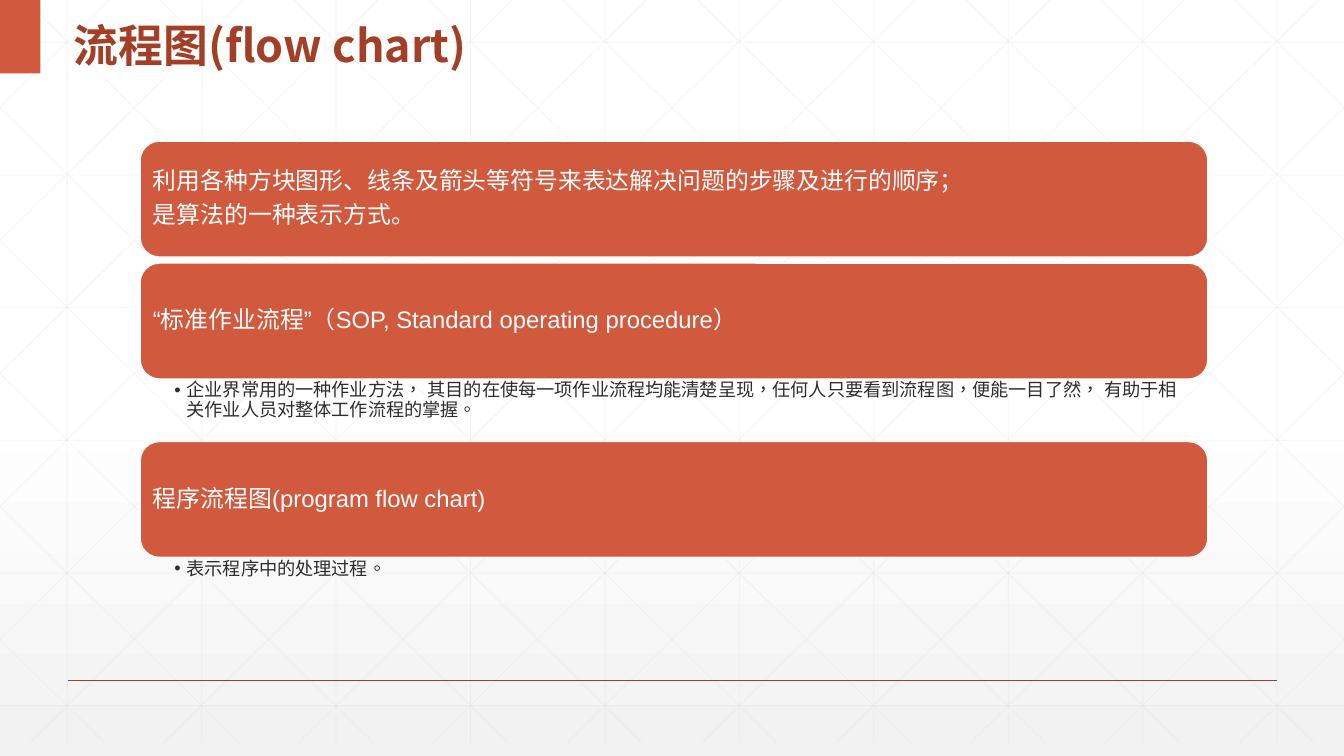
from lxml import etree
from pptx import Presentation
from pptx.dml.color import RGBColor
from pptx.enum import lang, shapes, text
from pptx.oxml import ns
from pptx.util import Inches, Pt

COLORS = {
    "accent": "D15A3E",
    "dark": "A43F27",
    "white": "FFFFFF",
    "pale": "F2F2F2",
    "mesh": "D9D9D9",
    "body": "2D2E2D",
}
WIDTH, HEIGHT = 13.33, 7.5
MESH_BOTTOM = 7.37
CELL = 4 / 3
SLOPE = 7.37 / 7.455
SIMPLIFIED = lang.MSO_LANGUAGE_ID.SIMPLIFIED_CHINESE
TRADITIONAL = lang.MSO_LANGUAGE_ID.TRADITIONAL_CHINESE


def add_line(start, end, color, width, opacity=100):
    line = slide.shapes.add_connector(
        shapes.MSO_CONNECTOR.STRAIGHT, *[Inches(value) for value in (*start, *end)]
    )
    line.line.color.rgb = RGBColor.from_string(COLORS[color])
    line.line.width = Pt(width)
    properties = line.element.spPr
    if opacity < 100:
        tint = properties.find(".//" + ns.qn("a:srgbClr"))
        etree.SubElement(tint, ns.qn("a:alpha"), val=str(opacity * 1000))
    etree.SubElement(properties, ns.qn("a:effectLst"))


def write(shape, lines, size, color, font="Arial", bold=False, spacing=0.9, after=0,
          anchor=text.MSO_ANCHOR.MIDDLE, margins=(0.07, 0.07, 0.07, 0.07),
          bullet=False, language=SIMPLIFIED):
    frame = shape.text_frame
    frame.word_wrap = True
    frame.auto_size = text.MSO_AUTO_SIZE.NONE
    frame.vertical_anchor = anchor
    frame.margin_left, frame.margin_top, frame.margin_right, frame.margin_bottom = [
        Inches(margin) for margin in margins
    ]
    for index, content in enumerate(lines):
        paragraph = frame.add_paragraph() if index else frame.paragraphs[0]
        if bullet:
            paragraph.level = 1
            properties = paragraph._p.get_or_add_pPr()
            properties.set("marL", str(Inches(0.12)))
            properties.set("indent", str(Inches(-0.12)))
            etree.SubElement(properties, ns.qn("a:buChar"), char="•")
        paragraph.alignment = text.PP_ALIGN.LEFT
        paragraph.line_spacing = spacing
        paragraph.space_before = Pt(0)
        paragraph.space_after = Pt(after)
        run = paragraph.add_run()
        run.text = content
        run.font.size = Pt(size)
        run.font.bold = bold
        run.font.name = font
        run.font.language_id = language
        run.font.color.rgb = RGBColor.from_string(COLORS[color])
        latin = run.font._element.find(ns.qn("a:latin"))
        latin.addnext(latin.makeelement(ns.qn("a:ea"), {"typeface": font}))


presentation = Presentation()
presentation.slide_width = Inches(WIDTH)
presentation.slide_height = Inches(HEIGHT)
slide = presentation.slides.add_slide(presentation.slide_layouts[3])

background = slide.background.fill
background.gradient()
background.gradient_angle = 270
for stop, position, color in zip(background.gradient_stops, (0.53, 1), ("white", "pale")):
    stop.position = position
    stop.color.rgb = RGBColor.from_string(COLORS[color])

mesh = []
for column in range(10):
    x = CELL * (column + 0.5)
    mesh.append(((x, 0), (x, MESH_BOTTOM)))
for row in range(6):
    y = 0.42 + 1.316 * row
    mesh.append(((0, y), (WIDTH, y)))
for step in range(-5, 10):
    top_x = 0.25 + CELL * step
    left = max(top_x, 0)
    right = min(top_x + MESH_BOTTOM / SLOPE, WIDTH)
    upper, lower = [(x - top_x) * SLOPE for x in (left, right)]
    mesh.append(((left, upper), (right, lower)))
    mesh.append(((WIDTH - left, upper), (WIDTH - right, lower)))
for start, end in mesh:
    add_line(start, end, "mesh", 0.5, opacity=25)
add_line((0.67, 6.75), (12.67, 6.75), "dark", 1)

accent = slide.shapes.add_shape(
    shapes.MSO_SHAPE.RECTANGLE, 0, 0, Inches(0.4), Inches(0.73)
)
panel_texts = {
    1.4: ["利用各种方块图形、线条及箭头等符号来表达解决问题的步骤及进行的顺序；",
          "是算法的一种表示方式。"],
    2.61: ["“标准作业流程”（SOP, Standard operating procedure）"],
    4.38: ["程序流程图(program flow chart)"],
}
panels = [
    slide.shapes.add_shape(
        shapes.MSO_SHAPE.ROUNDED_RECTANGLE,
        Inches(1.39), Inches(top), Inches(10.59), Inches(1.15),
    )
    for top in panel_texts
]
for shape in [accent, *panels]:
    shape.shadow.inherit = False
    shape.fill.solid()
    shape.fill.fore_color.rgb = RGBColor.from_string(COLORS["accent"])
    shape.line.fill.background()
for panel, lines in zip(panels, panel_texts.values()):
    panel.line.color.rgb = RGBColor.from_string(COLORS["white"])
    panel.line.width = Pt(1)
    write(panel, lines, 17, "white", after=6)

title, sop_note, program_note = slide.placeholders
for placeholder, box in (
    (title, (0.63, 0, 5.69, 0.73)),
    (sop_note, (1.39, 3.76, 10.59, 0.62)),
    (program_note, (1.39, 5.53, 10.59, 0.34)),
):
    placeholder.left, placeholder.top, placeholder.width, placeholder.height = [
        Inches(value) for value in box
    ]
    placeholder.element.getparent().append(placeholder.element)

write(title, ["流程图(flow chart)"], 32, "dark", font="Noto Sans CJK SC", bold=True,
      spacing=1.3, margins=(0.1, 0.05, 0.1, 0.05))
for note, sentence in (
    (sop_note, "企业界常用的一种作业方法， 其目的在使每一项作业流程均能清楚呈现，任何人只要看到流程图，"
               "便能一目了然， 有助于相关作业人员对整体工作流程的掌握。"),
    (program_note, "表示程序中的处理过程。"),
):
    write(note, [sentence], 13, "body", after=2.6, anchor=text.MSO_ANCHOR.TOP,
          margins=(0.34, 0.02, 0.13, 0.02), bullet=True, language=TRADITIONAL)

presentation.save("out.pptx")
